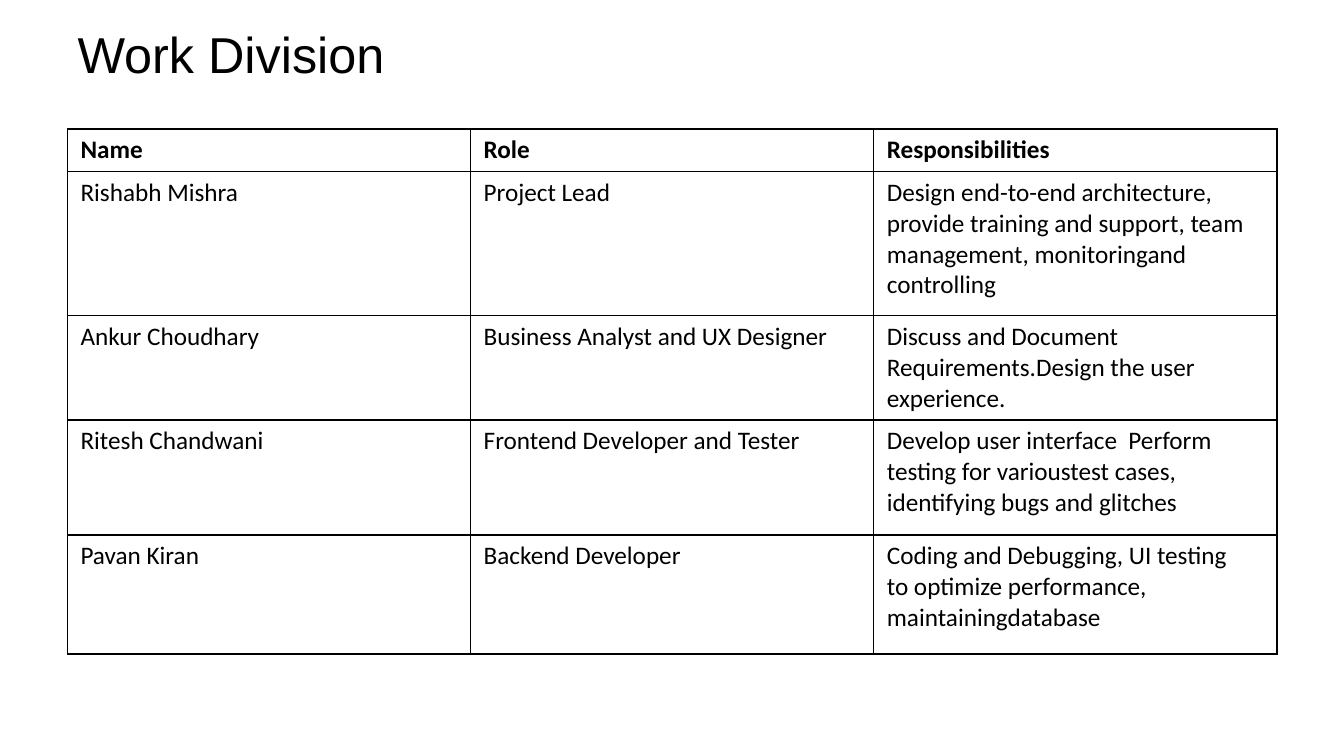
from lxml.etree import SubElement
from pptx import Presentation
from pptx.dml.color import RGBColor
from pptx.enum.text import MSO_ANCHOR, MSO_AUTO_SIZE, PP_ALIGN
from pptx.oxml.ns import qn
from pptx.util import Cm, Pt

COLORS = {"ink": "000000"}
HEADINGS = ("Name", "Role", "Responsibilities")
TEAM = [
    ("Rishabh Mishra", "Project Lead",
     "Design end-to-end architecture, provide training and support, "
     "team management, monitoringand controlling"),
    ("Ankur Choudhary", "Business Analyst and UX Designer",
     "Discuss and Document Requirements.Design the user experience."),
    ("Ritesh Chandwani", "Frontend Developer and Tester",
     "Develop user interface  Perform testing for varioustest cases, "
     "identifying bugs and glitches"),
    ("Pavan Kiran", "Backend Developer",
     "Coding and Debugging, UI testing to optimize performance, maintainingdatabase"),
]
ROW_HEIGHTS = (0.69, 3.63, 2.34, 2.9, 3)
RIGHT_INSETS = {(1, 2): 0.61, (2, 2): 0.43, (4, 0): 0.48, (4, 2): 0.74}


class SlideBuilder:
    title_font = "Arial"
    body_font = "Calibri"
    left, width = 1.7, 30.48
    inset = 0.15

    def __init__(self, slide):
        self.slide = slide

    def style(self, paragraph, family, size, bold=False):
        paragraph.alignment = PP_ALIGN.LEFT
        font = paragraph.font
        font.name, font.size, font.bold = family, Pt(size), bold
        font.color.rgb = RGBColor.from_string(COLORS["ink"])

    def title(self, text, top, height):
        title = self.slide.shapes.title
        title.left, title.top = Cm(self.left), Cm(top)
        title.width, title.height = Cm(self.width), Cm(height)
        frame = title.text_frame
        frame.text = text
        frame.auto_size = MSO_AUTO_SIZE.NONE
        frame.vertical_anchor = MSO_ANCHOR.MIDDLE
        self.style(frame.paragraphs[0], self.title_font, 36)

    def table(self, rows, top, heights, right_insets):
        column_count = len(rows[0])
        table = self.slide.shapes.add_table(
            len(rows), column_count, Cm(self.left), Cm(top),
            Cm(self.width), Cm(sum(heights))).table
        table.first_row = table.horz_banding = False
        for column in table.columns:
            column.width = Cm(self.width / column_count)
        for r, (texts, height) in enumerate(zip(rows, heights)):
            table.rows[r].height = Cm(height)
            for c, text in enumerate(texts):
                self.cell(table.cell(r, c), text, r == 0,
                          right_insets.get((r, c), self.inset))

    def cell(self, cell, text, bold, right_inset):
        cell.text = text
        cell.margin_left, cell.margin_right = Cm(0.33), Cm(right_inset)
        cell.margin_top = cell.margin_bottom = Cm(self.inset)
        cell.vertical_anchor = MSO_ANCHOR.TOP
        self.borders(cell)
        cell.fill.background()
        self.style(cell.text_frame.paragraphs[0], self.body_font, 18, bold)

    def borders(self, cell):
        properties = cell._tc.get_or_add_tcPr()
        for side in ("a:lnL", "a:lnR", "a:lnT", "a:lnB"):
            line = SubElement(properties, qn(side), w=str(Pt(1)))
            fill = SubElement(line, qn("a:solidFill"))
            SubElement(fill, qn("a:srgbClr"), val=COLORS["ink"])


def main():
    deck = Presentation()
    deck.slide_width, deck.slide_height = Cm(33.87), Cm(19.05)
    builder = SlideBuilder(deck.slides.add_slide(deck.slide_layouts.get_by_name("Title Only")))
    builder.title("Work Division", 0.53, 1.63)
    builder.table([HEADINGS, *TEAM], 3.25, ROW_HEIGHTS, RIGHT_INSETS)
    deck.save("out.pptx")


if __name__ == "__main__":
    main()
